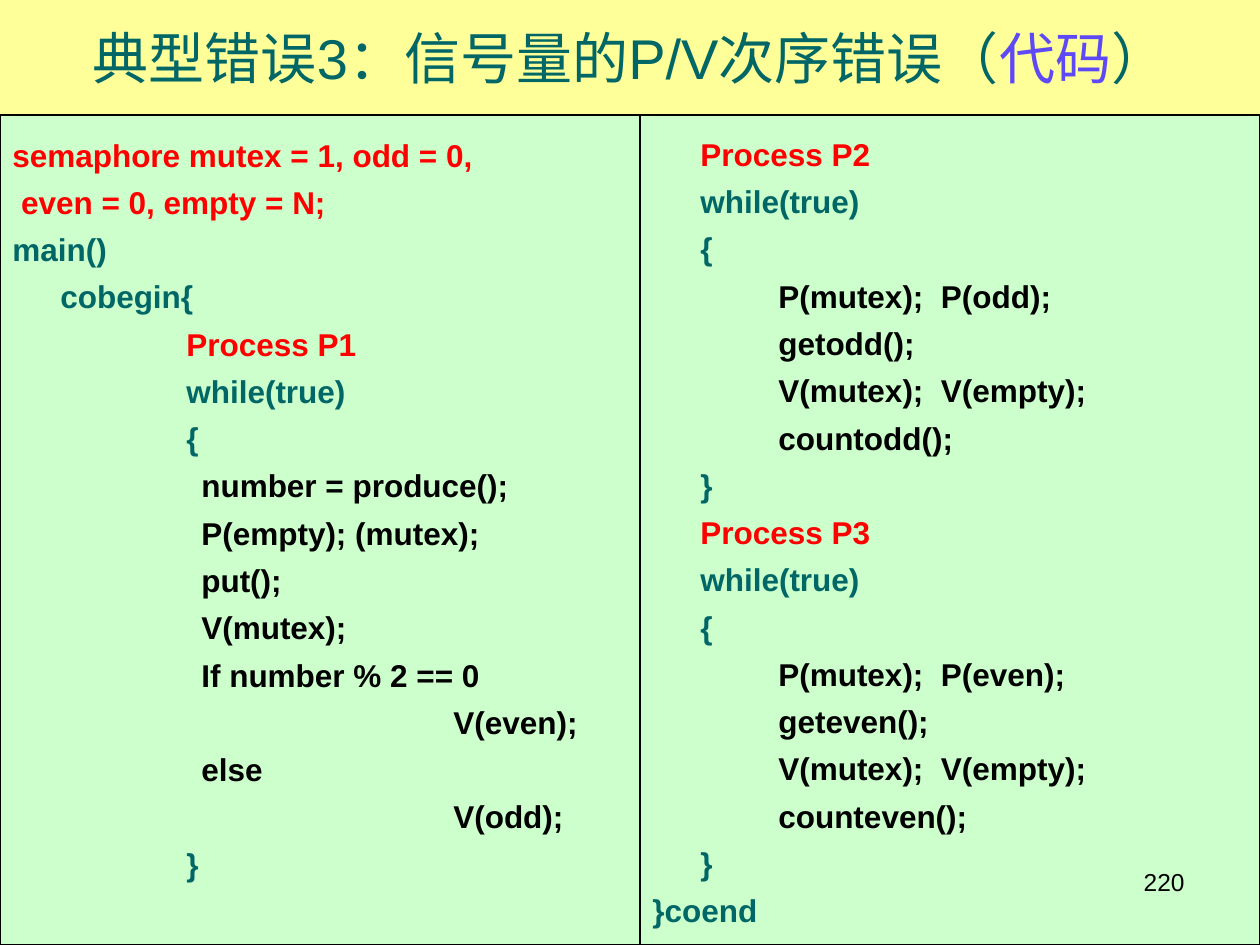
import dataclasses

import pptx
import pptx.dml.color
import pptx.enum.shapes
import pptx.enum.text
import pptx.util

ALIGN = pptx.enum.text.PP_ALIGN
ANCHOR = pptx.enum.text.MSO_ANCHOR


@dataclasses.dataclass(frozen=True)
class Theme:
    font: str = "Arial"
    title_size: int = 32
    code_size: int = 18
    number_size: int = 14
    code_gap: float = 5.4
    banner: str = "FFFF99"
    panel: str = "CCFFCC"
    teal: str = "006666"
    red: str = "FF0000"
    black: str = "000000"
    violet: str = "5E49F7"


THEME = Theme()
WIDTH, HEIGHT, BANNER_HEIGHT, SPLIT = 1260, 945, 115, 640
CODE_PITCH = 46

# Indents of the code in px
MARGIN, STEP, BODY, PROCESS, STATEMENT, BRANCH = 0, 48, 126, 174, 189, 441

PRODUCER = [
    (MARGIN, THEME.red, "semaphore mutex = 1, odd = 0,"),
    (MARGIN, THEME.red, " even = 0, empty = N;"),
    (MARGIN, THEME.teal, "main()"),
    (STEP, THEME.teal, "cobegin{"),
    (PROCESS, THEME.red, "Process P1"),
    (PROCESS, THEME.teal, "while(true)"),
    (PROCESS, THEME.teal, "{"),
    (STATEMENT, THEME.black, "number = produce();"),
    (STATEMENT, THEME.black, "P(empty); (mutex);"),
    (STATEMENT, THEME.black, "put();"),
    (STATEMENT, THEME.black, "V(mutex);"),
    (STATEMENT, THEME.black, "If number % 2 == 0"),
    (BRANCH, THEME.black, "V(even);"),
    (STATEMENT, THEME.black, "else"),
    (BRANCH, THEME.black, "V(odd);"),
    (PROCESS, THEME.teal, "}"),
]


def consumer(name, parity):
    return [
        (STEP, THEME.red, f"Process {name}"),
        (STEP, THEME.teal, "while(true)"),
        (STEP, THEME.teal, "{"),
        (BODY, THEME.black, f"P(mutex);  P({parity});"),
        (BODY, THEME.black, f"get{parity}();"),
        (BODY, THEME.black, "V(mutex);  V(empty);"),
        (BODY, THEME.black, f"count{parity}();"),
        (STEP, THEME.teal, "}"),
    ]


CONSUMERS = consumer("P2", "odd") + consumer("P3", "even") + [(MARGIN, THEME.teal, "}coend")]


def px(length):
    return pptx.util.Emu(round(length * 914400 / 126))


def rgb(value):
    return pptx.dml.color.RGBColor.from_string(value)


class SlideBuilder:
    def __init__(self, page, theme):
        self.page = page
        self.theme = theme

    def style(self, font, size, color, bold=False):
        font.name = self.theme.font
        font.size = pptx.util.Pt(size)
        font.bold = bold
        font.color.rgb = rgb(color)

    def title(self, spans):
        box = self.page.shapes.title
        box.left, box.top, box.width, box.height = map(px, (0, 0, WIDTH, BANNER_HEIGHT))
        box.fill.solid()
        box.fill.fore_color.rgb = rgb(self.theme.banner)
        frame = box.text_frame
        frame.auto_size = pptx.enum.text.MSO_AUTO_SIZE.NONE
        frame.vertical_anchor = ANCHOR.MIDDLE
        para = frame.paragraphs[0]
        para.alignment = ALIGN.CENTER
        self.style(para.font, self.theme.title_size, self.theme.teal)
        for text, color in spans:
            span = para.add_run()
            span.text = text
            self.style(span.font, self.theme.title_size, color)

    def code_panel(self, left, width, lines, free_lines=0):
        """Draw a panel of code, leaving room for free_lines below it."""
        box = self.page.shapes.add_shape(
            pptx.enum.shapes.MSO_SHAPE.RECTANGLE,
            px(left), px(BANNER_HEIGHT), px(width), px(HEIGHT - BANNER_HEIGHT))
        box.shadow.inherit = False
        box.fill.solid()
        box.fill.fore_color.rgb = rgb(self.theme.panel)
        box.line.color.rgb = rgb(self.theme.black)
        box.line.width = pptx.util.Pt(0.75)
        frame = box.text_frame
        frame.word_wrap = True
        frame.vertical_anchor = ANCHOR.MIDDLE
        frame.margin_top = px(10)
        frame.margin_bottom = px(6 + free_lines * CODE_PITCH)
        for index, (indent, color, text) in enumerate(lines):
            para = frame.add_paragraph() if index else frame.paragraphs[0]
            para.text = text
            para.alignment = ALIGN.LEFT
            para._p.get_or_add_pPr().set("marL", str(px(indent)))
            if index:
                para.space_before = pptx.util.Pt(self.theme.code_gap)
            self.style(para.font, self.theme.code_size, color, bold=True)

    def page_number(self, text):
        box = self.page.shapes.add_textbox(px(903), px(861), px(294), px(66))
        box.text_frame.word_wrap = True
        para = box.text_frame.paragraphs[0]
        para.text = text
        para.alignment = ALIGN.RIGHT
        self.style(para.font, self.theme.number_size, self.theme.black)


def main():
    deck = pptx.Presentation()
    deck.slide_width, deck.slide_height = px(WIDTH), px(HEIGHT)
    title_only = deck.slide_layouts[5]
    builder = SlideBuilder(deck.slides.add_slide(title_only), THEME)
    builder.title([
        ("典型错误3：信号量的P/V次序错误（", THEME.teal),
        ("代码", THEME.violet),
        ("）", THEME.teal),
    ])
    builder.code_panel(0, SPLIT, PRODUCER, free_lines=1)
    builder.code_panel(SPLIT, WIDTH - SPLIT, CONSUMERS)
    builder.page_number("220")
    deck.save("out.pptx")


if __name__ == "__main__":
    main()
